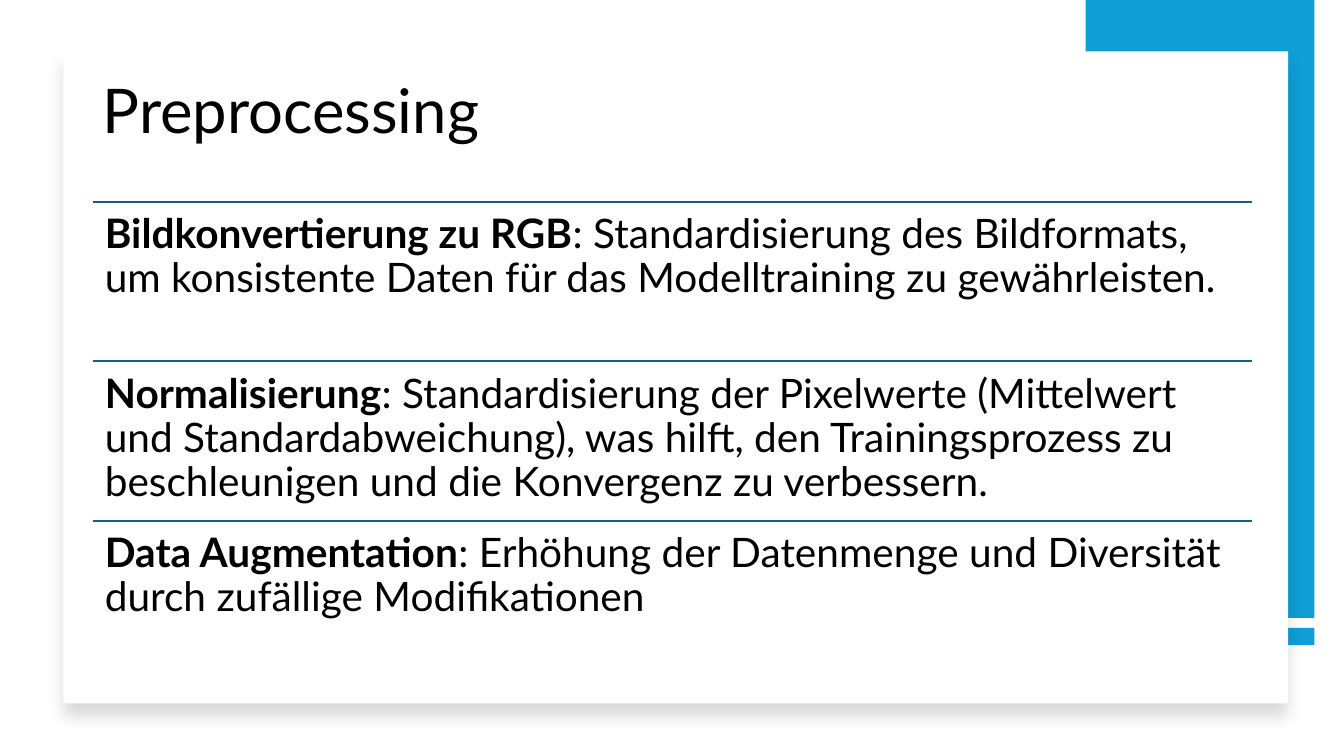
from lxml import etree
from pptx import Presentation
from pptx import util as u
from pptx.dml.color import RGBColor
from pptx.enum import shapes, text
from pptx.oxml.ns import qn

TITLE = "Preprocessing"
STEPS = [
    ("Bildkonvertierung zu RGB",
     ": Standardisierung des Bildformats, um konsistente Daten für das Modelltraining zu gewährleisten."),
    ("Normalisierung",
     ": Standardisierung der Pixelwerte (Mittelwert und Standardabweichung), was hilft, "
     "den Trainingsprozess zu beschleunigen und die Konvergenz zu verbessern."),
    ("Data Augmentation",
     ": Erhöhung der Datenmenge und Diversität durch zufällige Modifikationen"),
]

FONT = "Lato"
BLACK = RGBColor(0x00, 0x00, 0x00)
WHITE = RGBColor(0xFF, 0xFF, 0xFF)
BLUE = RGBColor(0x0F, 0x9E, 0xD5)
RULE = RGBColor(0x15, 0x60, 0x82)

PX = 9144
LEFT, WIDTH = 92, 1150
STEPS_TOP, STEPS_BOTTOM = 200, 675


def px(*lengths):
    return [u.Emu(round(n * PX)) for n in lengths]


def add_rect(s, box, color):
    sp = s.shapes.add_shape(shapes.MSO_SHAPE.RECTANGLE, *px(*box))
    sp.shadow.inherit = False
    sp.fill.solid()
    sp.fill.fore_color.rgb = color
    sp.line.fill.background()
    return sp


def add_shadow(sp):
    effects = sp._element.spPr.find(qn("a:effectLst"))
    shadow = etree.SubElement(effects, qn("a:outerShdw"), blurRad=str(u.Pt(11)),
                              dist=str(u.Pt(10)), dir="5400000", algn="t", rotWithShape="0")
    color = etree.SubElement(shadow, qn("a:srgbClr"), val=str(BLACK))
    etree.SubElement(color, qn("a:alpha"), val="15000")


def add_rule(s, y):
    ln = s.shapes.add_connector(shapes.MSO_CONNECTOR.STRAIGHT, *px(LEFT, y, LEFT + WIDTH, y))
    ln.line.color.rgb = RULE
    ln.line.width = u.Pt(1.5)
    etree.SubElement(ln._element.spPr, qn("a:effectLst"))


def add_text(s, box, runs, size, anchor, inset):
    tf = s.shapes.add_textbox(*px(*box)).text_frame
    tf.word_wrap = True
    tf.vertical_anchor = anchor
    tf.margin_left, tf.margin_top, tf.margin_right, tf.margin_bottom = px(*inset)
    p = tf.paragraphs[0]
    p.line_spacing = 0.9
    for words, bold in runs:
        r = p.add_run()
        r.text = words
        r.font.name = FONT
        r.font.size = u.Pt(size)
        r.font.bold = bold
        r.font.color.rgb = BLACK


def main():
    prs = Presentation()
    prs.slide_width, prs.slide_height = u.Inches(13.333), u.Inches(7.5)
    s = prs.slides.add_slide(prs.slide_layouts[6])

    for top, height in ((623, 17), (0, 613)):
        add_rect(s, (1077, top, 227, height), BLUE)
    add_shadow(add_rect(s, (63, 51, 1215, 647), WHITE))

    add_text(s, (LEFT, 40, WIDTH, 145), [(TITLE, False)], 44,
             text.MSO_ANCHOR.MIDDLE, (10, 5, 10, 5))

    pitch = (STEPS_BOTTOM - STEPS_TOP) / len(STEPS)
    for i, (name, detail) in enumerate(STEPS):
        y = STEPS_TOP + i * pitch
        add_rule(s, y)
        add_text(s, (LEFT, y, WIDTH, pitch), [(name, True), (detail, False)], 29,
                 text.MSO_ANCHOR.TOP, (12, 12, 12, 12))

    prs.save("out.pptx")


if __name__ == "__main__":
    main()
